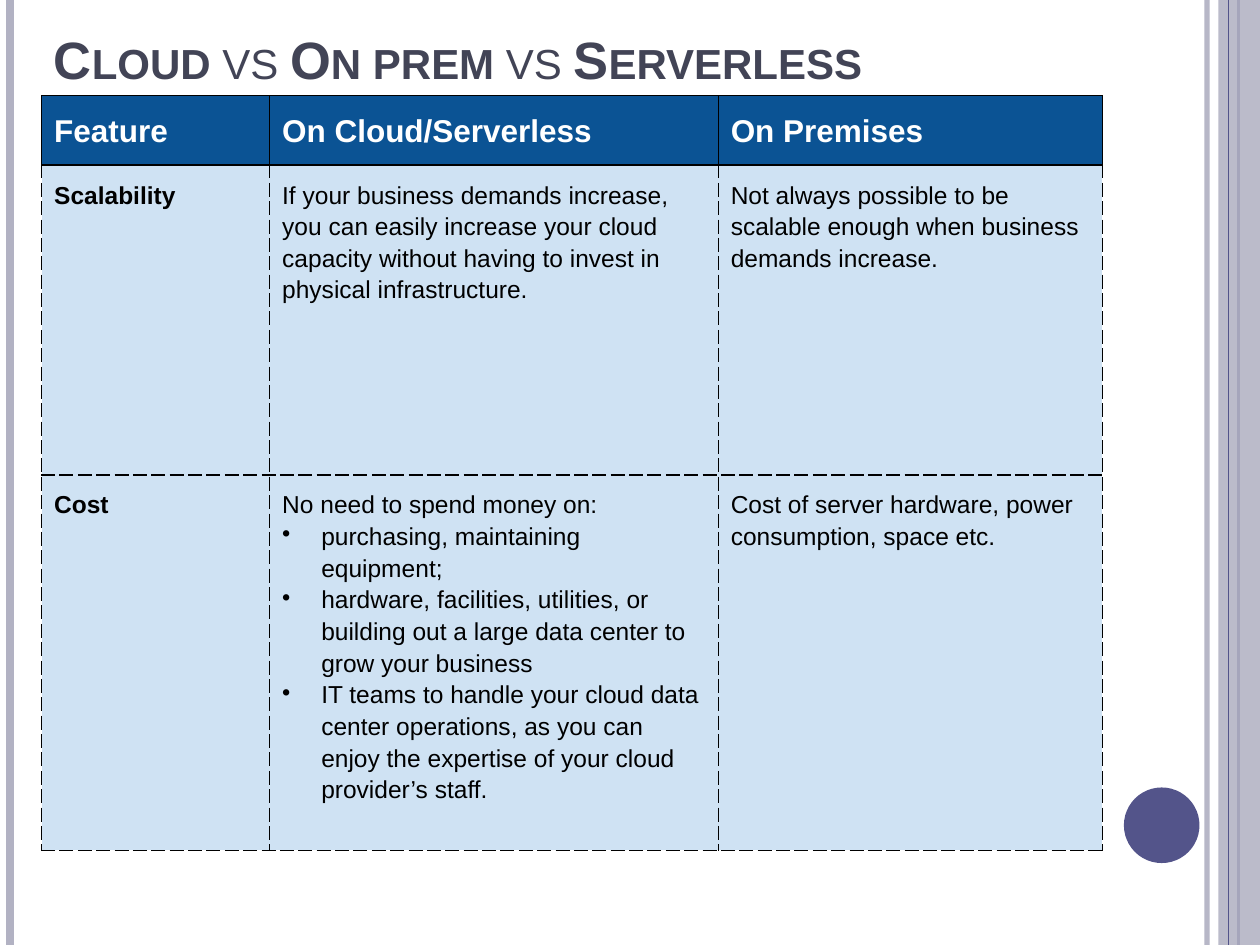
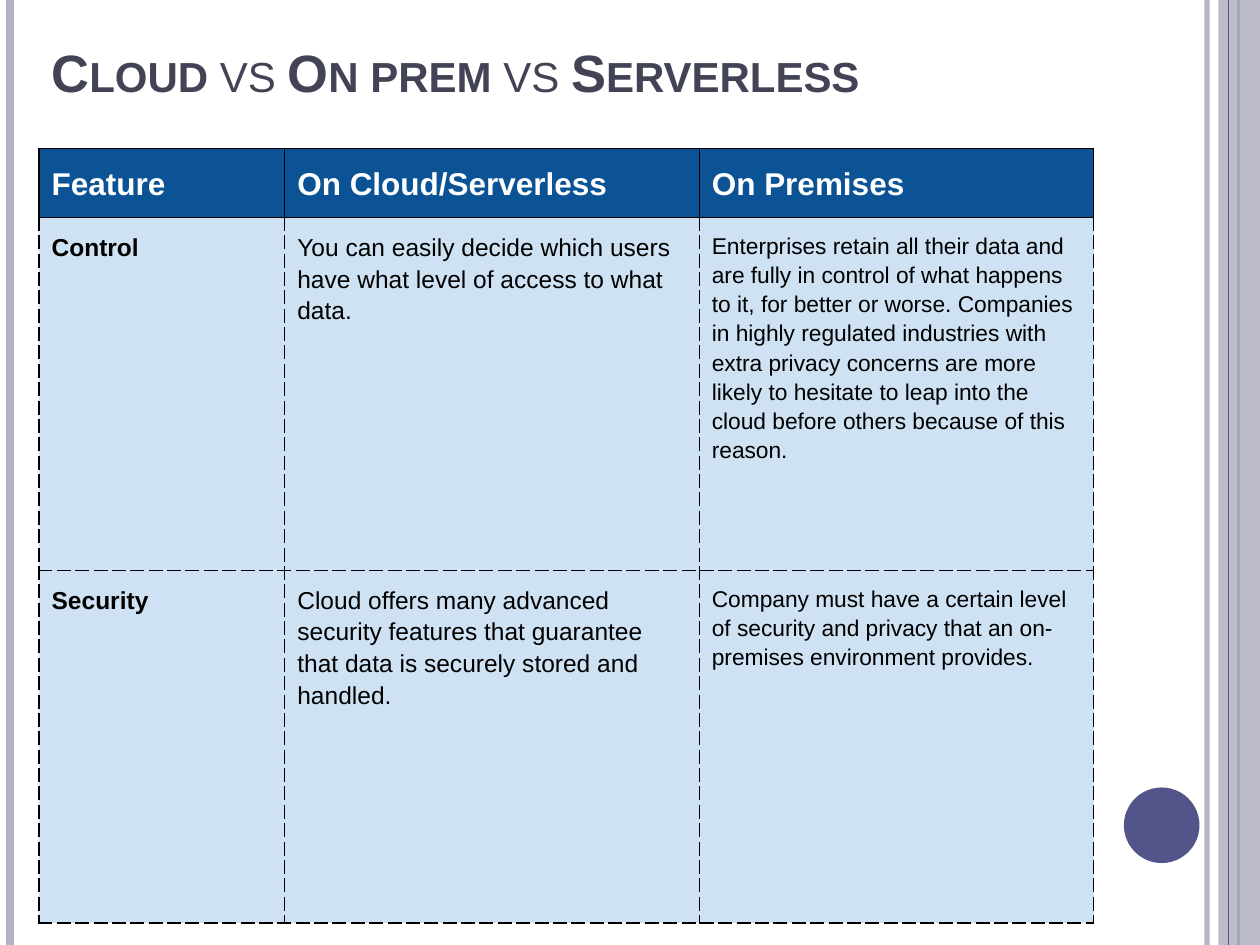
from lxml import etree
from pptx import Presentation
from pptx.dml.color import RGBColor
from pptx.enum.dml import MSO_LINE
from pptx.enum.shapes import MSO_CONNECTOR, MSO_SHAPE
from pptx.enum.text import MSO_ANCHOR
from pptx.oxml.ns import qn
from pptx.util import Inches, Pt

STRAIGHT = MSO_CONNECTOR.STRAIGHT
RECTANGLE = MSO_SHAPE.RECTANGLE
OVAL = MSO_SHAPE.OVAL
BOTTOM = MSO_ANCHOR.BOTTOM
LONG_DASH = MSO_LINE.LONG_DASH

FONT = "Arial"
LAVENDER = RGBColor(0xB2, 0xB2, 0xC3)
INDIGO = RGBColor(0x53, 0x54, 0x8A)
SLATE = RGBColor(0x42, 0x44, 0x56)
HEADER_BLUE = RGBColor(0x0B, 0x53, 0x94)
PALE_BLUE = RGBColor(0xCF, 0xE2, 0xF3)
WHITE = RGBColor(0xFF, 0xFF, 0xFF)
BLACK = RGBColor(0, 0, 0)

SLIDE_HEIGHT = 7.5
BULLET_INDENT = Inches(0.31)
TITLE_RUNS = [("Cloud ", True), ("vs ", False), ("On prem ", True),
              ("vs ", False), ("Serverless", True)]
HEADINGS = ["Feature", "On Cloud/Serverless", "On Premises"]

COMPARISONS = [
    {
        "title_box": (0.33, 0.11, 8.17, 0.65),
        "table_corner": (0.33, 0.76),
        "widths": [1.81, 3.56, 3.05],
        "heights": [0.55, 2.46, 2.98],
        "premises_size": 14,
        "features": [
            ["Scalability",
             "If your business demands increase, you can easily increase your "
             "cloud capacity without having to invest in physical infrastructure.",
             "Not always possible to be scalable enough when business demands "
             "increase."],
            ["Cost",
             ["No need to spend money on:",
              "purchasing, maintaining equipment;",
              "hardware, facilities, utilities, or building out a large data "
              "center to grow your business",
              "IT teams to handle your cloud data center operations, as you can "
              "enjoy the expertise of your cloud provider’s staff."],
             "Cost of server hardware, power consumption, space etc."],
        ],
    },
    {
        "title_box": (0.31, -0.38, 8.17, 1.25),
        "table_corner": (0.31, 1.18),
        "widths": [1.95, 3.29, 3.13],
        "heights": [0.48, 2.8, 2.8],
        "premises_size": 13,
        "features": [
            ["Control",
             "You can easily decide which users have what level of access to "
             "what data.",
             "Enterprises retain all their data and are fully in control of what "
             "happens to it, for better or worse. Companies in highly regulated "
             "industries with extra privacy concerns are more likely to hesitate "
             "to leap into the cloud before others because of this reason."],
            ["Security",
             "Cloud offers many advanced security features that guarantee that "
             "data is securely stored and handled.",
             "Company must have a certain level of security and privacy that an "
             "on-premises environment provides."],
        ],
    },
]


def write(paragraph, text, *, size, color, bold=False, small_caps=False):
    run = paragraph.add_run()
    run.text = text
    run.font.name = FONT
    run.font.size = Pt(size)
    run.font.bold = bold
    run.font.color.rgb = color
    if small_caps:
        run.font._element.set("cap", "small")


def set_opacity(element, percent):
    for color in element.iter(qn("a:srgbClr")):
        etree.SubElement(color, qn("a:alpha")).set("val", str(percent * 1000))


def add_rule(slide, x, color, width, opacity=100):
    rule = slide.shapes.add_connector(
        STRAIGHT, Inches(x), 0, Inches(x), Inches(SLIDE_HEIGHT))
    rule.line.color.rgb = color
    rule.line.width = Pt(width)
    properties = rule._element.spPr
    if opacity < 100:
        set_opacity(properties, opacity)
    etree.SubElement(properties, qn("a:effectLst"))


def add_solid(slide, kind, box, color, opacity=100):
    solid = slide.shapes.add_shape(kind, *map(Inches, box))
    solid.fill.solid()
    solid.fill.fore_color.rgb = color
    if opacity < 100:
        set_opacity(solid._element.spPr, opacity)
    solid.line.fill.background()
    solid.shadow.inherit = False


def add_frame(slide):
    add_rule(slide, 9.58, LAVENDER, 3, opacity=93)
    add_rule(slide, 0.08, LAVENDER, 4.5)
    add_rule(slide, 9.83, INDIGO, 1.5)
    add_solid(slide, RECTANGLE, (9.67, 0, 0.33, SLIDE_HEIGHT), LAVENDER, opacity=87)
    add_rule(slide, 9.75, INDIGO, 0.75)
    add_solid(slide, OVAL, (8.92, 6.25, 0.6, 0.6), INDIGO)


def add_title(slide, box):
    frame = slide.shapes.add_textbox(*map(Inches, box)).text_frame
    frame.word_wrap = True
    frame.vertical_anchor = BOTTOM
    for text, bold in TITLE_RUNS:
        write(frame.paragraphs[0], text, size=30, color=SLATE, bold=bold,
              small_caps=True)


def add_bullet(paragraph):
    properties = paragraph._p.get_or_add_pPr()
    properties.set("marL", str(BULLET_INDENT))
    properties.set("indent", str(-BULLET_INDENT))
    bullet_color = etree.SubElement(properties, qn("a:buClr"))
    etree.SubElement(bullet_color, qn("a:srgbClr")).set("val", str(BLACK))
    etree.SubElement(properties, qn("a:buChar")).set("char", "•")


def set_borders(cell, dashed_sides):
    properties = cell._tc.get_or_add_tcPr()
    for side in "LRTB":
        border = etree.SubElement(properties, qn(f"a:ln{side}"), w=str(Pt(0.75)))
        fill = etree.SubElement(border, qn("a:solidFill"))
        etree.SubElement(fill, qn("a:srgbClr")).set("val", str(BLACK))
        dash = "lgDash" if side in dashed_sides else "solid"
        etree.SubElement(border, qn("a:prstDash")).set("val", dash)


def fill_cell(cell, content, fill, dashed_sides, **text_format):
    set_borders(cell, dashed_sides)
    cell.fill.solid()
    cell.fill.fore_color.rgb = fill
    cell.margin_left = cell.margin_right = Inches(0.1)
    cell.margin_top = cell.margin_bottom = Inches(0.1)
    lines = [content] if isinstance(content, str) else content
    for index, line in enumerate(lines):
        if index:
            paragraph = cell.text_frame.add_paragraph()
            add_bullet(paragraph)
        else:
            paragraph = cell.text_frame.paragraphs[0]
        paragraph.line_spacing = 1.15
        write(paragraph, line, **text_format)


def add_comparison(slide, table_corner, widths, heights, features, premises_size):
    table = slide.shapes.add_table(
        len(heights), len(widths), *map(Inches, table_corner),
        Inches(sum(widths)), Inches(sum(heights))).table
    table.first_row = table.horz_banding = False
    for column, width in zip(table.columns, widths):
        column.width = Inches(width)
    for row, height in zip(table.rows, heights):
        row.height = Inches(height)
    for column, heading in enumerate(HEADINGS):
        fill_cell(table.cell(0, column), heading, HEADER_BLUE, "",
                  size=18, color=WHITE, bold=True)
    for row, feature in enumerate(features, 1):
        dashed_sides = "LRB" if row == 1 else "LRTB"
        for column, content in enumerate(feature):
            fill_cell(table.cell(row, column), content, PALE_BLUE, dashed_sides,
                      size=premises_size if column == 2 else 14,
                      color=BLACK, bold=column == 0)


def main():
    deck = Presentation()
    deck.slide_width = Inches(10)
    deck.slide_height = Inches(SLIDE_HEIGHT)
    for comparison in COMPARISONS:
        slide = deck.slides.add_slide(deck.slide_layouts[6])
        add_frame(slide)
        add_title(slide, comparison["title_box"])
        add_comparison(slide, comparison["table_corner"], comparison["widths"],
                       comparison["heights"], comparison["features"],
                       comparison["premises_size"])
    deck.save("out.pptx")


if __name__ == "__main__":
    main()
